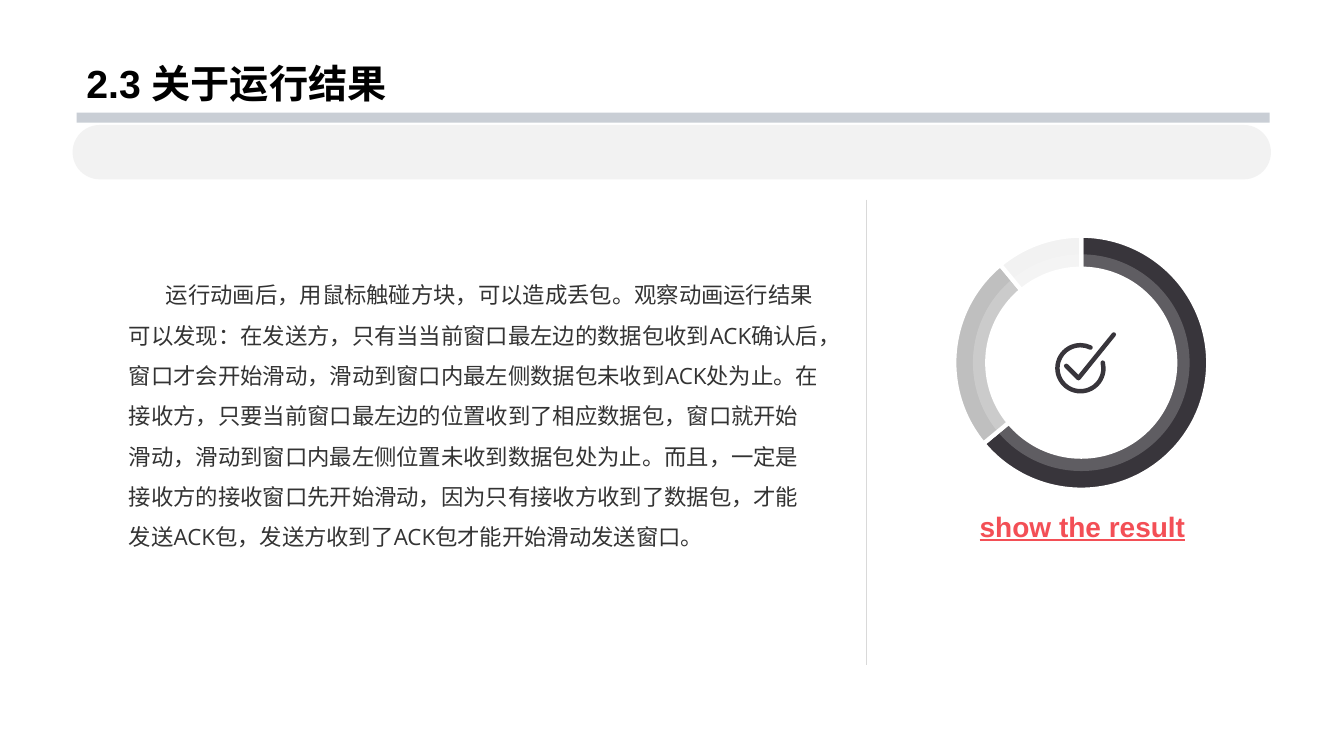
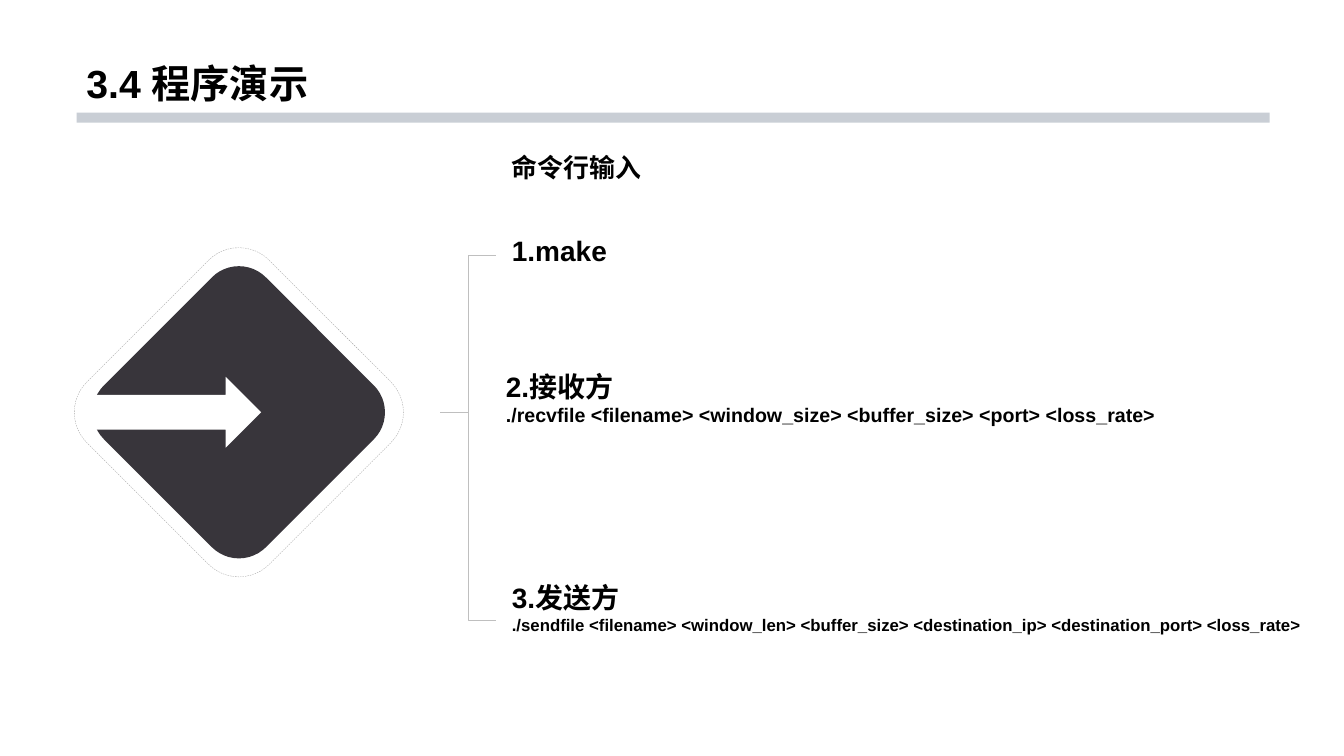
"""Build two slides: a result summary and a command-line demo."""
from dataclasses import dataclass

from lxml import etree
from pptx import Presentation
from pptx.dml.color import RGBColor
from pptx.enum.dml import MSO_LINE
from pptx.enum.shapes import MSO_CONNECTOR, MSO_SHAPE
from pptx.enum.text import MSO_ANCHOR, PP_ALIGN
from pptx.oxml.ns import qn
from pptx.util import Cm, Pt

RECT, ROUND, OVAL = MSO_SHAPE.RECTANGLE, MSO_SHAPE.ROUNDED_RECTANGLE, MSO_SHAPE.OVAL
BLOCK, ARC, ARROW = MSO_SHAPE.BLOCK_ARC, MSO_SHAPE.ARC, MSO_SHAPE.RIGHT_ARROW
ELBOW, LINE = MSO_CONNECTOR.ELBOW, MSO_CONNECTOR.STRAIGHT
LOW, MID = MSO_ANCHOR.BOTTOM, MSO_ANCHOR.MIDDLE
LEFT, CENTER = PP_ALIGN.LEFT, PP_ALIGN.CENTER
DASH = MSO_LINE.DASH


@dataclass(frozen=True)
class Theme:
    """Colours, fonts and type sizes."""
    head: str = "Arial"
    text: str = "Open Sans"
    black: str = "000000"
    body: str = "333333"
    dark: str = "38353B"
    white: str = "FFFFFF"
    red: str = "F34F56"
    bar: str = "C9CED5"
    pale: str = "F2F2F2"
    rule: str = "D9D9D9"
    gray: str = "BFBFBF"
    edge: str = "A6A6A6"
    title: float = 28
    large: float = 20
    sub: float = 18.5
    copy: float = 16
    code: float = 14
    small: float = 12


T = Theme()


def draw(slide, kind, box, fill=None, line=None, width=0.25, adj=()):
    """Add a preset shape, with its box in centimetres."""
    shape = slide.shapes.add_shape(kind, *map(Cm, box))
    shape.shadow.inherit = False
    for part, color in ((shape.fill, fill), (shape.line.fill, line)):
        if color:
            part.solid()
            part.fore_color.rgb = RGBColor.from_string(color)
        else:
            part.background()
    if line:
        shape.line.width = Pt(width)
    for i, value in enumerate(adj):
        shape.adjustments[i] = value
    return shape


def write(slide, box, lines, anchor=MID, color=T.black, font=T.head,
          bold=True, under=False, align=LEFT, space=1.0):
    """Add a text box holding (text, size) lines."""
    frame = slide.shapes.add_textbox(*map(Cm, box)).text_frame
    frame.word_wrap = True
    frame.vertical_anchor = anchor
    for i, (text, size) in enumerate(lines):
        para = frame.paragraphs[0] if i == 0 else frame.add_paragraph()
        run = para.add_run()
        run.text = text
        run.font.color.rgb = RGBColor.from_string(color)
        look = {"name": font, "size": Pt(size), "bold": bold, "underline": under}
        for item, form in ((run.font, look),
                           (para, {"alignment": align, "line_spacing": space})):
            for key, value in form.items():
                setattr(item, key, value)
    return frame


deck = Presentation()
deck.slide_width, deck.slide_height = Cm(33.87), Cm(19.05)
pages = []
for title in ("2.3 关于运行结果", "3.4 程序演示"):
    page = deck.slides.add_slide(deck.slide_layouts[6])
    draw(page, RECT, (1.93, 2.84, 30.07, 0.25), T.bar)
    write(page, (1.93, 0, 30, 2.82), [(title, T.title)], LOW, space=0.9)
    pages.append(page)
result, demo = pages

draw(result, ROUND, (1.83, 3.15, 30.2, 1.37), T.pale, adj=[0.5])

angle = 270
for share, color in ((64, T.dark), (25, T.gray), (11, T.pale)):
    end = (angle + share * 3.6) % 360
    draw(result, BLOCK, (24.05, 5.94, 6.4, 6.4), color, T.white, 3,
         [angle * 0.6, end * 0.6, 0.13])
    angle = end
disc = draw(result, OVAL, (24.52, 6.41, 5.46, 5.46), T.white)
tint = disc.fill._xPr.find(qn("a:solidFill"))[0]
etree.SubElement(tint, qn("a:alpha")).set("val", "20000")

loop = draw(result, ARC, (26.65, 8.7, 1.16, 1.16), None, T.dark, 3.2,
            [-14, -64])
loop.adjustments[0], loop.adjustments[1] = 346 * 0.6, 296 * 0.6
pen = result.shapes.build_freeform(Cm(26.87), Cm(9.22))
pen.add_line_segments([(Cm(27.18), Cm(9.53)), (Cm(28.07), Cm(8.43))], close=False)
tick = pen.convert_to_shape()
tick.shadow.inherit = False
tick.fill.background()
tick.line.color.rgb = RGBColor.from_string(T.dark)
tick.line.width = Pt(3.2)
for mark in (loop, tick):
    ln = mark.line._get_or_add_ln()
    ln.set("cap", "rnd")
    etree.SubElement(ln, qn("a:round"))

write(result, (22.63, 12.5, 9.3, 1.3), [("show the result", T.large)], LOW,
      T.red, under=True, align=CENTER)
story = (
    "运行动画后，用鼠标触碰方块，可以造成丢包。观察动画运行结果可以发现：在发送方，"
    "只有当当前窗口最左边的数据包收到ACK确认后，窗口才会开始滑动，滑动到窗口内最左侧"
    "数据包未收到ACK处为止。在接收方，只要当前窗口最左边的位置收到了相应数据包，窗口"
    "就开始滑动，滑动到窗口内最左侧位置未收到数据包处为止。而且，一定是接收方的接收窗口"
    "先开始滑动，因为只有接收方收到了数据包，才能发送ACK包，发送方收到了ACK包才能开始"
    "滑动发送窗口。"
)
frame = write(result, (3, 6.35, 17.88, 7.92), [(story, T.copy)], MID, T.body,
              T.text, bold=False, space=1.5)
frame.paragraphs[0]._p.get_or_add_pPr().set("indent", str(Cm(0.93)))

for size, fill, line in ((6.5, None, T.edge), (5.77, T.dark, None)):
    gem = draw(demo, ROUND, (6.02 - size / 2, 10.39 - size / 2, size, size), fill, line)
    gem.rotation = 45
    if line:
        gem.line.dash_style = DASH
draw(demo, ARROW, (2.25, 9.5, 4.33, 1.78), T.white, adj=[0.49, 0.5])

write(demo, (12.65, 3.81, 6.91, 0.91), [("命令行输入", T.sub)], LOW, space=0.8)
steps = (
    ((12.65, 5.66, 8.56, 1.3), [("1.make", T.large)]),
    ((12.5, 8.97, 19.23, 2.13), [
        ("2.接收方", T.large),
        ("./recvfile <filename> <window_size> <buffer_size> <port> <loss_rate>", T.code)]),
    ((12.65, 13.72, 20.78, 3.18), [
        ("3.发送方", T.large),
        ("./sendfile <filename> <window_len> <buffer_size> <destination_ip> "
         "<destination_port> <loss_rate>", T.small)]),
)
for box, lines in steps:
    write(demo, box, lines)

wires = (
    (result, LINE, (21.82, 5.03, 21.82, 16.76), T.rule),
    (demo, ELBOW, (11.1, 10.39, 12.5, 6.43), T.gray),
    (demo, ELBOW, (11.1, 10.39, 12.5, 15.62), T.gray),
)
for page, kind, ends, color in wires:
    wire = page.shapes.add_connector(kind, *map(Cm, ends))
    wire.line.color.rgb = RGBColor.from_string(color)
    wire.line.width = Pt(0.25)
    etree.SubElement(wire._element.spPr, qn("a:effectLst"))

deck.save("out.pptx")
